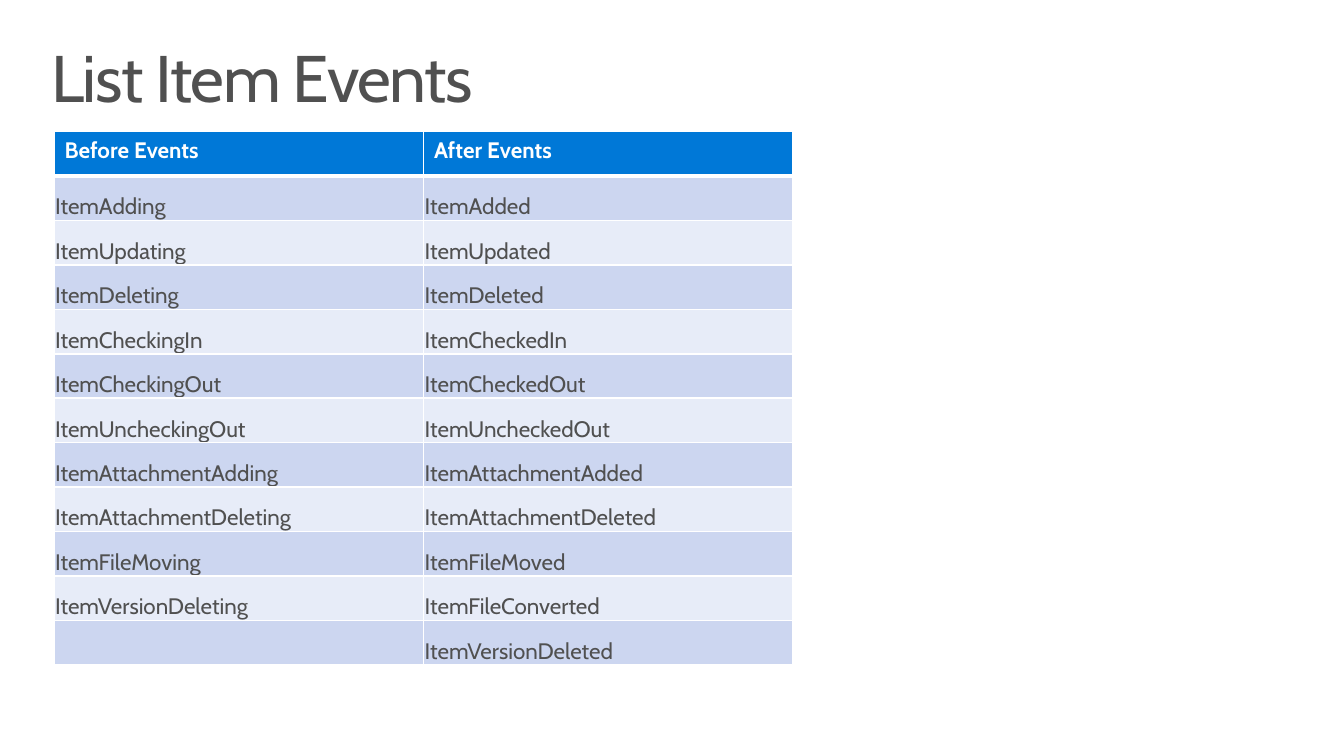
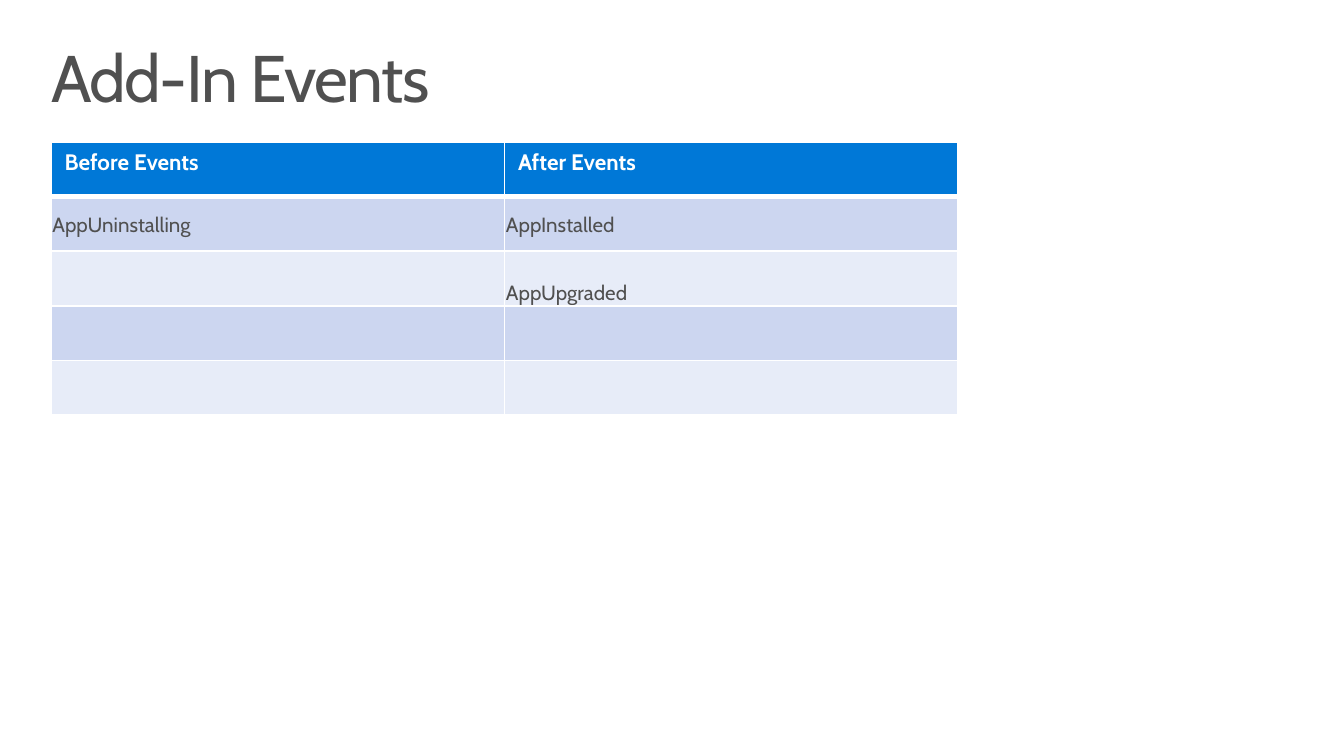
from dataclasses import dataclass
from itertools import zip_longest
from typing import Any

from lxml import etree
from pptx import Presentation
from pptx.dml.color import RGBColor
from pptx.enum.text import MSO_ANCHOR, MSO_AUTO_SIZE, PP_ALIGN
from pptx.oxml.ns import qn
from pptx.util import Inches, Length, Pt

TOP, MIDDLE, BOTTOM = MSO_ANCHOR.TOP, MSO_ANCHOR.MIDDLE, MSO_ANCHOR.BOTTOM
LEFT = PP_ALIGN.LEFT
NO_AUTOFIT = MSO_AUTO_SIZE.NONE
TITLE_ONLY_LAYOUT = 5
SLIDE_WIDTH = Inches(10)
SLIDE_HEIGHT = Length(SLIDE_WIDTH * 9 // 16)


@dataclass(frozen=True)
class Theme:
    font: str = "Cabin"
    text: RGBColor = RGBColor.from_string("505050")
    white: RGBColor = RGBColor.from_string("FFFFFF")
    header: RGBColor = RGBColor.from_string("0078D7")
    bands: tuple[RGBColor, RGBColor] = (
        RGBColor.from_string("CCD6F0"),
        RGBColor.from_string("E7ECF8"),
    )
    title_size: float = 35.3
    title_tracking: int = -75
    header_size: float = 12
    border: float = 1
    header_border: float = 3


THEME = Theme()


@dataclass(frozen=True)
class Insets:
    """Left, top, right and bottom margins in inches."""

    left: float
    top: float
    right: float
    bottom: float


TITLE_INSETS = Insets(0.16, 0.1, 0.16, 0.1)
BODY_INSETS = Insets(0.01, 0.01, 0.01, 0)


@dataclass(frozen=True)
class EventTable:
    """A titled table; lengths are percentages of the slide."""

    title: str
    before: list[str]
    after: list[str]
    left: float
    top: float
    column_width: float
    row_height: float
    body_size: float
    header_insets: Insets
    first_row_anchor: MSO_ANCHOR = BOTTOM
    spare_rows: int = 0


EVENT_TABLES = [
    EventTable(
        title="List Item Events",
        before=[
            "ItemAdding", "ItemUpdating", "ItemDeleting", "ItemCheckingIn",
            "ItemCheckingOut", "ItemUncheckingOut", "ItemAttachmentAdding",
            "ItemAttachmentDeleting", "ItemFileMoving", "ItemVersionDeleting",
        ],
        after=[
            "ItemAdded", "ItemUpdated", "ItemDeleted", "ItemCheckedIn",
            "ItemCheckedOut", "ItemUncheckedOut", "ItemAttachmentAdded",
            "ItemAttachmentDeleted", "ItemFileMoved", "ItemFileConverted",
            "ItemVersionDeleted",
        ],
        left=4, top=17.4, column_width=27.5, row_height=5.88,
        body_size=12, header_insets=Insets(0.08, 0.04, 0.08, 0.04),
    ),
    EventTable(
        title="Add-In Events",
        before=["AppUninstalling"],
        after=["AppInstalled", "AppUpgraded"],
        left=3.8, top=18.8, column_width=33.75, row_height=7.22,
        body_size=11, header_insets=Insets(0.1, 0.05, 0.1, 0.05),
        first_row_anchor=MIDDLE, spare_rows=2,
    ),
]


def across(percent: float) -> Length:
    return Length(round(SLIDE_WIDTH * percent / 100))


def down(percent: float) -> Length:
    return Length(round(SLIDE_HEIGHT * percent / 100))


def apply_format(target: Any, values: dict[str, Any]) -> None:
    for name, value in values.items():
        setattr(target, name, value)


def set_insets(target: Any, insets: Insets) -> None:
    for side in ("left", "top", "right", "bottom"):
        setattr(target, f"margin_{side}", Inches(getattr(insets, side)))


def format_font(font: Any, size: float, color: RGBColor, bold: bool = False) -> None:
    apply_format(font, {"name": THEME.font, "size": Pt(size), "bold": bold})
    font.color.rgb = color


# Title shared by the slides
def add_title(slide: Any, text: str) -> None:
    title = slide.shapes.title
    apply_format(title, {
        "left": across(2.2), "top": down(4.27),
        "width": across(95.6), "height": down(13.16),
    })
    frame = title.text_frame
    apply_format(frame, {
        "word_wrap": True, "auto_size": NO_AUTOFIT, "vertical_anchor": TOP,
    })
    set_insets(frame, TITLE_INSETS)
    paragraph = frame.paragraphs[0]
    apply_format(paragraph, {"alignment": LEFT, "line_spacing": 0.9})
    run = paragraph.add_run()
    run.text = text
    format_font(run.font, THEME.title_size, THEME.text)
    run._r.get_or_add_rPr().set("spc", str(THEME.title_tracking))


# Table cells
def set_borders(cell: Any, bottom_width: float, top_width: float) -> None:
    properties = cell._tc.get_or_add_tcPr()
    widths = {
        "lnL": THEME.border, "lnR": THEME.border,
        "lnT": top_width, "lnB": bottom_width,
    }
    for tag, width in widths.items():
        line = etree.SubElement(properties, qn(f"a:{tag}"), w=str(Pt(width)))
        fill = etree.SubElement(line, qn("a:solidFill"))
        etree.SubElement(fill, qn("a:srgbClr"), val=str(THEME.white))


def fill_cell(cell: Any, text: str, row: int, table: EventTable) -> None:
    is_header = row == 0
    set_borders(
        cell,
        THEME.header_border if is_header else THEME.border,
        THEME.header_border if row == 1 else THEME.border,
    )
    cell.fill.solid()
    cell.fill.fore_color.rgb = THEME.header if is_header else THEME.bands[(row - 1) % 2]
    set_insets(cell, table.header_insets if is_header else BODY_INSETS)
    cell.vertical_anchor = (
        TOP if is_header else table.first_row_anchor if row == 1 else BOTTOM
    )

    paragraph = cell.text_frame.paragraphs[0]
    if not text:
        # Keeps the height of an empty row from growing
        etree.SubElement(
            paragraph._p, qn("a:endParaRPr"), sz=str(round(table.body_size * 100))
        )
        return
    run = paragraph.add_run()
    run.text = text
    if is_header:
        format_font(run.font, THEME.header_size, THEME.white, bold=True)
    else:
        format_font(run.font, table.body_size, THEME.text)


def add_event_table(slide: Any, table: EventTable) -> None:
    rows = [("Before Events", "After Events")]
    rows += zip_longest(table.before, table.after, fillvalue="")
    rows += [("", "")] * table.spare_rows
    grid = slide.shapes.add_table(
        len(rows), 2, across(table.left), down(table.top),
        across(2 * table.column_width), down(len(rows) * table.row_height),
    ).table
    for column in grid.columns:
        column.width = across(table.column_width)
    for row, texts in enumerate(rows):
        grid.rows[row].height = down(table.row_height)
        for column, text in enumerate(texts):
            fill_cell(grid.cell(row, column), text, row, table)


def main() -> None:
    presentation = Presentation()
    apply_format(presentation, {"slide_width": SLIDE_WIDTH, "slide_height": SLIDE_HEIGHT})
    layout = presentation.slide_layouts[TITLE_ONLY_LAYOUT]
    for table in EVENT_TABLES:
        slide = presentation.slides.add_slide(layout)
        add_title(slide, table.title)
        add_event_table(slide, table)
    presentation.save("out.pptx")


if __name__ == "__main__":
    main()
